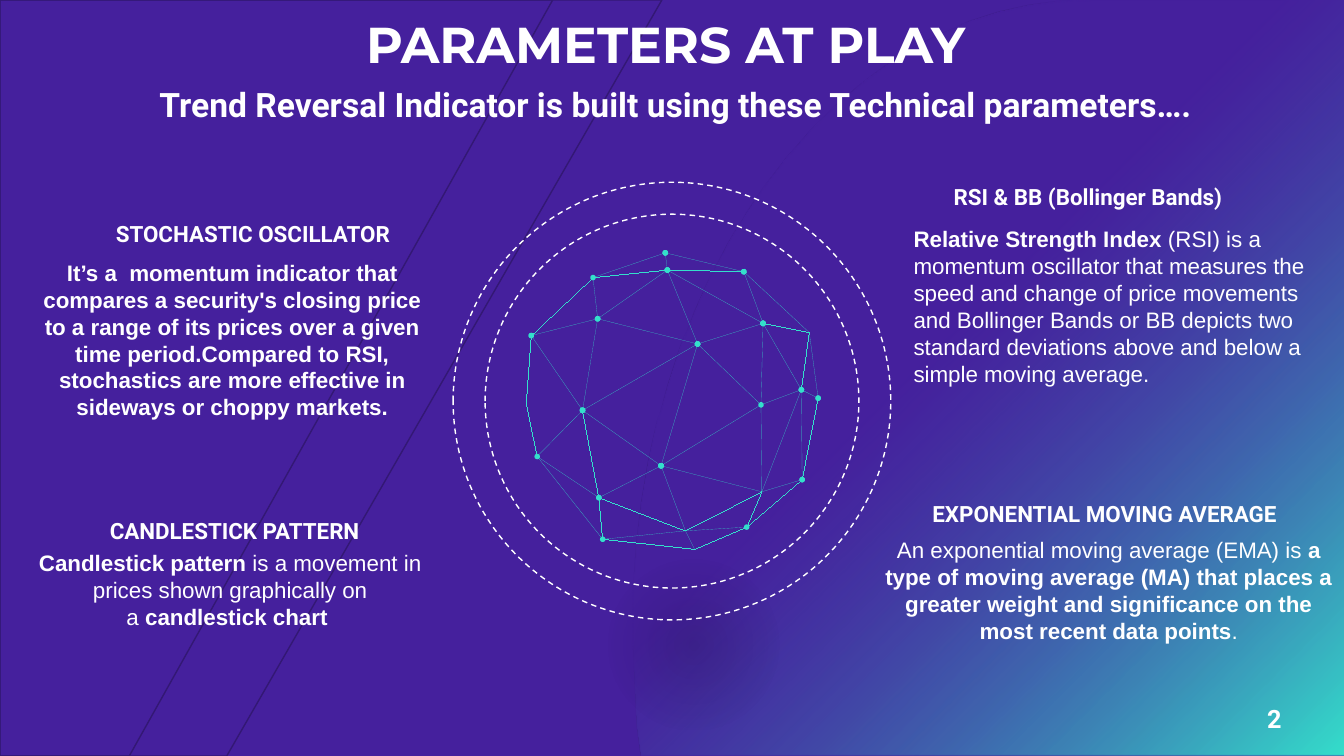
import pptx
import pptx.dml.color
import pptx.enum.dml
import pptx.enum.shapes
import pptx.enum.text
import pptx.oxml
import pptx.oxml.ns
import pptx.util

# The slide is a grid of 160 columns by 90 rows of square cells.
CELL = pptx.util.Inches(1 / 12)
COLUMNS, ROWS = 160, 90
PURPLE, TEAL, WHITE, EDGE = "45209D", "34DFCB", "FFFFFF", "331874"
ALIGN = pptx.enum.text.PP_ALIGN
ANCHOR = pptx.enum.text.MSO_ANCHOR
NO_INSETS = dict.fromkeys(("margin_left", "margin_top", "margin_right", "margin_bottom"), 0)
NBSP = chr(160)  # keeps two words on one line

NODES = {
    "A": (79.2, 30.1), "B": (79.45, 32.15), "C": (88.55, 32.35), "D": (70.6, 33.05),
    "E": (71.15, 37.95), "F": (63.25, 39.95), "G": (62.65, 48), "H": (63.95, 54.35),
    "I": (69.35, 48.85), "J": (71.3, 59.25), "K": (71.75, 64.2), "L": (78.7, 55.45),
    "M": (83.05, 40.95), "N": (90.85, 38.5), "O": (96.35, 39.6), "P": (95.4, 46.4),
    "Q": (97.4, 47.4), "R": (95.5, 57.1), "S": (90.7, 58.55), "T": (90.6, 48.2),
    "U": (81.6, 63.2), "V": (82.7, 65.4), "W": (88.9, 62.75),
}
# Paths through the nodes, grouped by which ends carry a dot.
NETWORK = {
    (): "KVWRQ FGH DBC IJK DF PON JUSW",
    ("headEnd",): "LUV RP NTSP WUK",
    ("tailEnd",): "DEI",
    ("headEnd", "tailEnd"): "CA QOC HK AD BML AB QP NC PN LSR IL FI EF BE NB MN IM "
                            "JHI LJ PTL MT EM",
}

HEADINGS = [
    ("STOCHASTIC OSCILLATOR", (8.9, 26.25, 37.55, 3.25), ALIGN.RIGHT),
    ("CANDLESTICK PATTERN", (7.4, 61.55, 35.4, 3.25), ALIGN.RIGHT),
    ("EXPONENTIAL MOVING AVERAGE", (111, 59.5, 45, 3.25), ALIGN.LEFT),
    ("RSI & BB (Bollinger Bands)", (110.75, 21.85, 37.55, 3.25), ALIGN.CENTER),
]
# Each description is a list of (text, bold) runs.
DESCRIPTIONS = [
    ([("It’s a  momentum indicator that compares a security's closing price to a range of its "
       "prices over a given time period.Compared to RSI, stochastics are more effective in "
       "sideways or choppy markets.", True)], (3.6, 30.85, 48.1, 19.4), ALIGN.CENTER),
    ([("Candlestick pattern", True),
      (f"{NBSP}is a movement in prices shown graphically on a{NBSP}", False),
      (f"candlestick chart{NBSP}", True)], (3.6, 65.4, 47.6, 9.7), ALIGN.CENTER),
    ([("Relative Strength Index", True),
      (f"{NBSP}(RSI) is a momentum oscillator that measures the speed and change of price "
       "movements and Bollinger Bands or BB depicts two standard deviations above and below a "
       "simple moving average.", False)], (108.75, 26.85, 47.6, 19.4), ALIGN.LEFT),
    ([(f"An exponential moving average (EMA) is{NBSP}", False),
      ("a type of moving average (MA) that places a greater weight and significance on the most "
       "recent data points", True),
      (".", False)], (104.65, 63.85, 54.7, 12.95), ALIGN.CENTER),
]


def rgb(value):
    return pptx.dml.color.RGBColor.from_string(value)


def cells(*counts):
    return [round(count * CELL) for count in counts]


def assign(target, values):
    for key, value in values.items():
        setattr(target, key, value)


def set_alpha(fill_color, percent):
    """Make every colour element under fill_color partly transparent."""
    for color in fill_color.iter(pptx.oxml.ns.qn("a:srgbClr")):
        alpha = color.makeelement(pptx.oxml.ns.qn("a:alpha"), {"val": str(percent * 1000)})
        color.append(alpha)


def fill_gradient(shape, stops, angle):
    """Fill with (position, colour, opacity) stops; angle runs clockwise."""
    shape.fill.gradient()
    shape.fill.gradient_angle = (360 - angle) % 360
    for stop, (position, color, opacity) in zip(shape.fill.gradient_stops, stops):
        stop.position = position / 100
        stop.color.rgb = rgb(color)
    gradient = shape.element.spPr.find(pptx.oxml.ns.qn("a:gradFill"))
    for stop, (_, _, opacity) in zip(gradient.iter(pptx.oxml.ns.qn("a:gs")), stops):
        set_alpha(stop, opacity)
    return gradient


def add_outline(slide, points, closed):
    corners = [cells(*point) for point in points]
    builder = slide.shapes.build_freeform(*corners[0])
    builder.add_line_segments(corners[1:], close=closed)
    shape = builder.convert_to_shape()
    shape.shadow.inherit = False
    return shape


def bezier(start, pull, push, end, steps=24):
    for step in range(1, steps + 1):
        t = step / steps
        weights = ((1 - t) ** 3, 3 * t * (1 - t) ** 2, 3 * t * t * (1 - t), t ** 3)
        yield tuple(sum(w * point[axis] for w, point in zip(weights, (start, pull, push, end)))
                    for axis in (0, 1))


def add_teal_glow(slide):
    start, end = (75.25, 74.9), (129.85, 0)
    curve = bezier(start, (75.25, 33.6), (99.7, 0), end)
    outline = [(76.3, ROWS), (75.8, 86.4), start, *curve, (COLUMNS, 0), (COLUMNS, ROWS)]
    glow = add_outline(slide, outline, True)
    fill_gradient(glow, [(44, PURPLE, 40), (100, TEAL, 100)], 45)
    glow.line.fill.background()


def add_diagonal_band(slide, top, bottom):
    band = add_outline(slide, [(0, 0), (top, 0), (bottom, ROWS), (0, ROWS)], True)
    band.fill.solid()
    band.fill.fore_color.rgb = rgb(PURPLE)
    set_alpha(band.element.spPr.find(pptx.oxml.ns.qn("a:solidFill")), 20)
    band.line.color.rgb = rgb(EDGE)
    band.line.width = pptx.util.Pt(1)


def add_ellipse(slide, *box):
    ellipse = slide.shapes.add_shape(pptx.enum.shapes.MSO_SHAPE.OVAL, *cells(*box))
    ellipse.shadow.inherit = False
    return ellipse


def add_globe_shade(slide):
    """Add a soft shade under the globe that fades out before its rim."""
    shade = add_ellipse(slide, 54.5, 46.45, 56.15, 40.45)
    shade.line.fill.background()
    gradient = fill_gradient(shade, [(0, "000000", 12), (30, "000000", 0)], 0)
    gradient.replace(gradient.find(pptx.oxml.ns.qn("a:lin")), pptx.oxml.parse_xml(
        f'<a:path {pptx.oxml.ns.nsdecls("a")} path="circle">'
        '<a:fillToRect l="50000" t="75000" r="50000" b="25000"/></a:path>'))


def add_orbit(slide, left, top, diameter):
    orbit = add_ellipse(slide, left, top, diameter, diameter)
    orbit.fill.background()
    orbit.line.color.rgb = rgb(WHITE)
    assign(orbit.line, {"width": pptx.util.Pt(1),
                        "dash_style": pptx.enum.dml.MSO_LINE.DASH})


def add_strand(slide, points, dotted_ends):
    """Draw a hairline through the points, with dots at the named ends."""
    if len(points) == 2:
        strand = slide.shapes.add_connector(pptx.enum.shapes.MSO_CONNECTOR.STRAIGHT,
                                            *cells(*points[0], *points[1]))
        strand.element.spPr.append(pptx.oxml.parse_xml(
            f"<a:effectLst {pptx.oxml.ns.nsdecls('a')}/>"))
    else:
        strand = add_outline(slide, points, False)
        strand.fill.background()
    strand.line.color.rgb = rgb(TEAL)
    line = strand.element.spPr.find(pptx.oxml.ns.qn("a:ln"))
    line.set("w", "0")
    for end in dotted_ends:
        line.append(line.makeelement(pptx.oxml.ns.qn(f"a:{end}"),
                                     {"type": "oval", "w": "sm", "len": "sm"}))


def write_runs(frame, runs, font, size, align):
    paragraph = frame.paragraphs[0]
    paragraph.alignment = align
    for text, bold in runs:
        run = paragraph.add_run()
        run.text = text
        assign(run.font, {"name": font, "size": pptx.util.Pt(size), "bold": bold})
        run.font.color.rgb = rgb(WHITE)
    return paragraph


def add_text(slide, runs, box, font, size, align, frame_format):
    frame = slide.shapes.add_textbox(*cells(*box)).text_frame
    assign(frame, {"word_wrap": True, **frame_format})
    write_runs(frame, runs, font, size, align)


def set_title(slide, text):
    """Fill the title placeholder and bring it in front of the backdrop."""
    title = slide.shapes.title
    title.element.getparent().append(title.element)
    assign(title, dict(zip(("left", "top", "width", "height"), cells(12, 2.15, 134.5, 7))))
    assign(title.text_frame, {"vertical_anchor": ANCHOR.MIDDLE, "word_wrap": True,
                              "auto_size": pptx.enum.text.MSO_AUTO_SIZE.NONE})
    write_runs(title.text_frame, [(text, True)], "Montserrat", 36, ALIGN.CENTER).line_spacing = 0.9


def main():
    deck = pptx.Presentation()
    assign(deck, {"slide_width": COLUMNS * CELL, "slide_height": ROWS * CELL})
    slide = deck.slides.add_slide(deck.slide_layouts[5])
    slide.background.fill.solid()
    slide.background.fill.fore_color.rgb = rgb(PURPLE)
    add_teal_glow(slide)
    for top, bottom in ((78.8, 27), (65.8, 15.4)):
        add_diagonal_band(slide, top, bottom)
    add_globe_shade(slide)
    set_title(slide, "PARAMETERS AT PLAY")
    for orbit in ((53.95, 21.7, 52.1), (57.75, 25.5, 44.5)):
        add_orbit(slide, *orbit)
    for dotted_ends, paths in NETWORK.items():
        for nodes in paths.split():
            add_strand(slide, [NODES[node] for node in nodes], dotted_ends)
    for text, box, align in HEADINGS:
        add_text(slide, [(text, True)], box, "Roboto", 16, align, NO_INSETS)
    for runs, box, align in DESCRIPTIONS:
        add_text(slide, runs, box, "Arial", 16, align, NO_INSETS)
    add_text(slide, [("Trend Reversal Indicator is built using these Technical parameters….", True)],
             (17.8, 9.4, 142.2, 6.05), "Roboto", 24, ALIGN.LEFT, {})
    add_text(slide, [("2", True)], (147.1, 83.1, 9.25, 4.85), "Roboto", 18, ALIGN.CENTER, {})
    deck.save("out.pptx")


if __name__ == "__main__":
    main()
